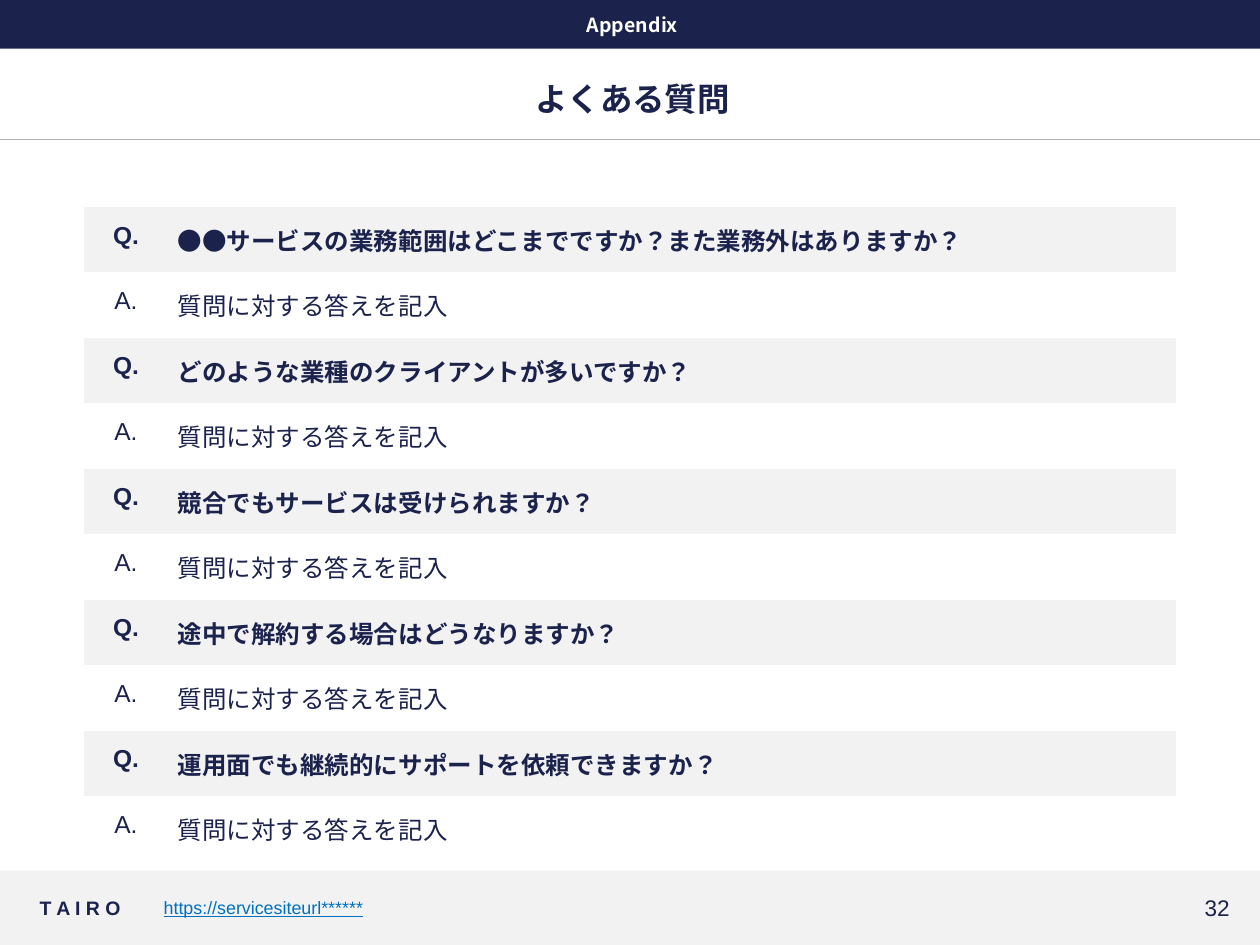
from lxml.etree import SubElement
from pptx import Presentation
from pptx.dml.color import RGBColor
from pptx.enum.lang import MSO_LANGUAGE_ID as Language
from pptx.enum.shapes import MSO_CONNECTOR, MSO_SHAPE
from pptx.enum.text import MSO_ANCHOR as Anchor, PP_ALIGN as Align
from pptx.oxml.ns import qn
from pptx.util import Cm, Pt

NAVY, PALE, WHITE, GREY, BLUE = "1B224C", "F2F2F2", "FFFFFF", "AFAFAF", "0070C0"
LATIN, JAPANESE = "Arial", "Noto Sans CJK JP"
PLAIN_TABLE = "{2D5ABB26-0587-4C30-8999-92F81FD0307C}"
PAGE_WIDTH = 25.4
ROW_HEIGHT = 1.32
ANSWER = "質問に対する答えを記入"
QUESTIONS = [
    ("●●サービスの業務範囲はどこまでですか？また業務外はありますか？", JAPANESE),
    ("どのような業種のクライアントが多いですか？", JAPANESE),
    ("競合でもサービスは受けられますか？", JAPANESE),
    ("途中で解約する場合はどうなりますか？", JAPANESE),
    ("運用面でも継続的にサポートを依頼できますか？", LATIN),
]


def color(hex_code):
    """Turn a hex string into a colour."""
    return RGBColor.from_string(hex_code)


def write(frame, words, size, font=LATIN, ink=NAVY, bold=False, align=Align.LEFT):
    """Write one run into the first paragraph and return the run."""
    paragraph = frame.paragraphs[0]
    paragraph.alignment = align
    run = paragraph.add_run()
    run.text = words
    run.font.size = Pt(size)
    run.font.name = font
    run.font.bold = bold
    run.font.language_id = Language.JAPANESE
    run.font.color.rgb = color(ink)
    SubElement(run.font._element, qn("a:ea"), typeface=JAPANESE)
    return run


def add_band(slide, top, height, fill):
    """Add a band as wide as the page."""
    band = slide.shapes.add_shape(
        MSO_SHAPE.RECTANGLE, 0, Cm(top), Cm(PAGE_WIDTH), Cm(height))
    band.shadow.inherit = False
    band.fill.solid()
    band.fill.fore_color.rgb = color(fill)
    band.line.fill.background()


def add_rule(slide, top):
    """Add a thin line across the page."""
    rule = slide.shapes.add_connector(
        MSO_CONNECTOR.STRAIGHT, 0, Cm(top), Cm(PAGE_WIDTH), Cm(top))
    rule.line.color.rgb = color(GREY)
    rule.line.width = Pt(0.5)
    SubElement(rule._element.spPr, qn("a:effectLst"))


def add_label(slide, box, words, size, wrap=True, **style):
    """Add a vertically centred text box and return its run."""
    frame = slide.shapes.add_textbox(*map(Cm, box)).text_frame
    frame.word_wrap = wrap
    frame.vertical_anchor = Anchor.MIDDLE
    frame.margin_left = frame.margin_right = Cm(0.1)
    frame.margin_top = frame.margin_bottom = Cm(0.1)
    return write(frame, words, size, **style)


def fill_cell(cell, fill, words, **style):
    """Fill one table cell with its colour and text."""
    cell.fill.solid()
    cell.fill.fore_color.rgb = color(fill)
    cell.margin_left = cell.margin_right = Cm(0.2)
    cell.margin_top = cell.margin_bottom = Cm(0.3)
    write(cell.text_frame, words, 14, **style)


def add_faq(slide):
    """Add the table of alternating questions and answers."""
    lines = []
    for question, font in QUESTIONS:
        lines += [("Q.", question, font, PALE, True), ("A.", ANSWER, LATIN, WHITE, False)]
    faq = slide.shapes.add_table(
        len(lines), 2, Cm(1.7), Cm(4.17), Cm(22), Cm(ROW_HEIGHT * len(lines))).table
    faq.first_row = faq.horz_banding = False
    faq._tbl.tblPr.find(qn("a:tableStyleId")).text = PLAIN_TABLE
    faq.columns[0].width, faq.columns[1].width = Cm(1.68), Cm(20.32)
    for row, (mark, words, font, fill, bold) in enumerate(lines):
        fill_cell(faq.cell(row, 0), fill, mark, bold=bold, align=Align.CENTER)
        fill_cell(faq.cell(row, 1), fill, words, font=font, bold=bold)


def main():
    """Build the FAQ slide and save it."""
    deck = Presentation()
    deck.slide_width, deck.slide_height = Cm(PAGE_WIDTH), Cm(19.05)
    slide = deck.slides.add_slide(deck.slide_layouts[6])
    add_band(slide, 17.55, 1.5, PALE)
    address = add_label(slide, (3.2, 17.9, 18.5, 0.79), "https://servicesiteurl******",
                        10.2, ink=BLUE)
    address.font.underline = True
    add_label(slide, (0.7, 17.9, 2.5, 0.79), "T A I R O", 11.1, wrap=False, bold=True)
    add_rule(slide, 2.81)
    add_band(slide, -0.02, 1, NAVY)
    add_label(slide, (1.21, 1.49, 23.08, 1), "よくある質問", 18.5,
              font=JAPANESE, bold=True, align=Align.CENTER)
    add_label(slide, (22.39, 17.9, 2.5, 0.79), "32", 12.9, wrap=False, align=Align.RIGHT)
    add_label(slide, (1.22, 0.15, 23.06, 0.7), "Appendix", 11.1,
              font=JAPANESE, ink=WHITE, bold=True, align=Align.CENTER)
    add_faq(slide)
    deck.save("out.pptx")


if __name__ == "__main__":
    main()
